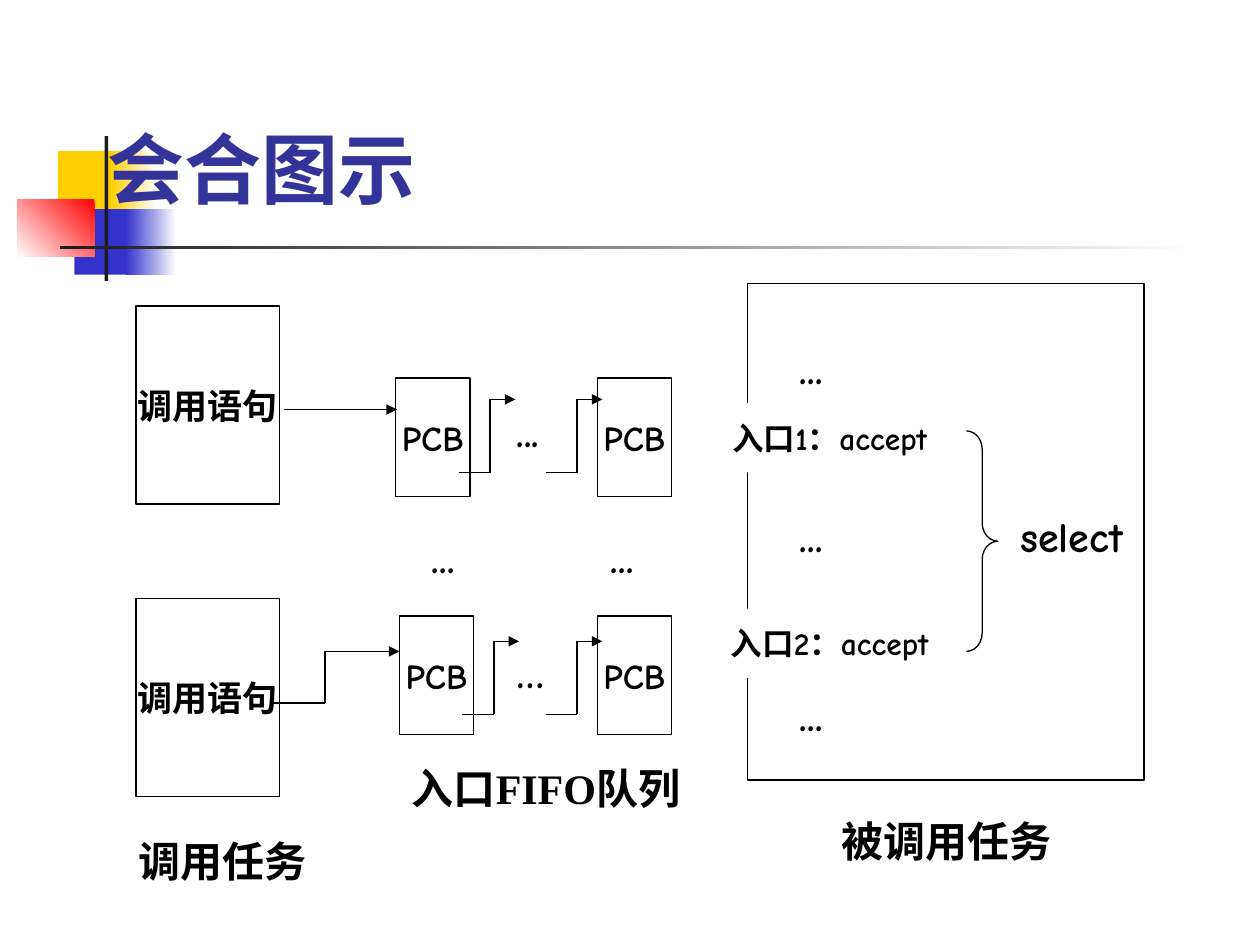
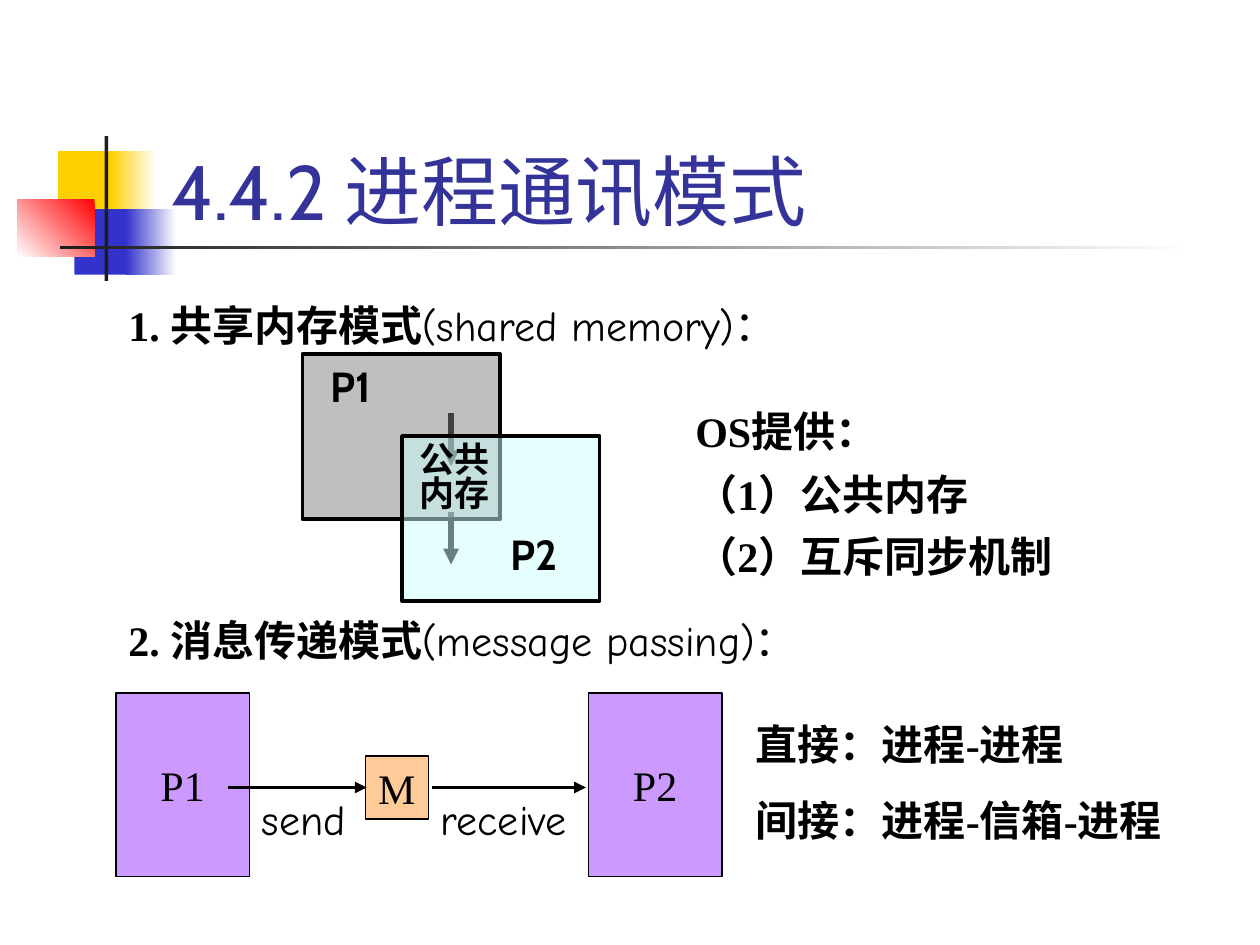
"""Build two slides on task rendezvous and process communication."""
from itertools import pairwise

from lxml.etree import SubElement
from pptx import Presentation
from pptx.dml.color import RGBColor
from pptx.enum.shapes import MSO_CONNECTOR, MSO_SHAPE
from pptx.enum.text import MSO_ANCHOR, MSO_AUTO_SIZE, PP_ALIGN
from pptx.oxml.ns import qn
from pptx.util import Inches, Pt

COLORS = {
    "title": "333399", "black": "000000", "white": "FFFFFF",
    "yellow": "FFCF01", "blue": "3333CC", "red": "FF0000", "bar": "1C1C1C",
    "gray": "808080", "cyan": "CCFFFF", "violet": "CC99FF", "orange": "FFCC99",
}
SERIF, SANS, HAND = "Times New Roman", "Cabin", "Comic Neue"

SOLID_BANDS = [
    ((0.46, 1.2, 0.48, 0.52), "yellow"),
    ((0.59, 1.66, 0.46, 0.52), "blue"),
    ((0.83, 1.08, 0.03, 1.15), "bar"),
]
GRADIENT_BANDS = [
    ((0.88, 1.2, 0.36, 0.52), ("white", "yellow"), 180),
    ((1, 1.66, 0.4, 0.52), ("white", "blue"), 180),
    ((0.14, 1.58, 0.61, 0.46), ("red", "white"), 225),
    ((0.48, 1.95, 9, 0.03), ("white", "bar"), 180),
]

CALLERS = [(1.08, 2.43), (1.08, 4.75)]
QUEUE_BLOCKS = [(3.14, 3), (4.74, 3), (3.17, 4.89), (4.74, 4.89)]
QUEUE_LINKS = [(3.64, 3.75), (4.33, 3.75), (3.67, 5.67), (4.33, 5.67)]
ENTRIES = [("入口1：accept", 3.2), ("入口2：accept", 4.83)]
ELLIPSES = [
    ("...", 6.25, 2.67), ("...", 6.25, 4), ("...", 6.25, 5.42),
    ("...", 3.33, 4.17), ("...", 4.75, 4.17),
    ("...", 4, 3.17), ("…", 4, 5.08),
]
CAPTIONS = [
    ("被调用任务", (6.58, 6.42, 2.08, 0.5)),
    ("调用任务", (1, 6.58, 1.67, 0.5)),
    ("入口FIFO队列", (3.17, 6, 2.33, 0.9)),
]

MODES = [
    ("1. 共享内存模式", "(shared memory)：", 2.33),
    ("2. 消息传递模式", "(message passing)：", 4.83),
]
SERVICES = ["OS提供：", "（1）公共内存", "（2）互斥同步机制"]
ROUTES = ["直接：进程-进程", "间接：进程-信箱-进程"]
MEMORY_SPACES = [((2.4, 2.81), "gray"), ((3.19, 3.46), "cyan")]
MEMORY_LABELS = [
    ("P1", (2.62, 2.94, 0.5, 0.32), 24),
    ("P2", (4.05, 4.27, 0.5, 0.32), 24),
    ("公共内存", (3.33, 3.54, 0.57, 0.53), 20),
]
MESSAGE_BOXES = [
    ("P1", (0.92, 5.5, 1.06, 1.46), "violet"),
    ("P2", (4.67, 5.5, 1.06, 1.46), "violet"),
    ("M", (2.9, 6, 0.5, 0.5), "orange"),
]
MESSAGE_ARROWS = [(1.81, 2.91), (3.43, 4.65)]
MESSAGE_LABELS = [("send", 1.98, 0.92), ("receive", 3.4, 1.42)]


def color(name):
    return RGBColor.from_string(COLORS[name])


def write_text(frame, lines, font=SERIF, size=24, bold=False, ink="black",
               align=PP_ALIGN.LEFT, anchor=MSO_ANCHOR.TOP, wrap=True,
               margin=None, first_spacing=None, spacing=None, before=0):
    """Fill a frame; each line is a string or a list of (text, font, bold)."""
    frame.word_wrap = wrap
    frame.auto_size = MSO_AUTO_SIZE.NONE
    frame.vertical_anchor = anchor
    if margin is not None:
        frame.margin_left = frame.margin_right = Inches(margin)
        frame.margin_top = frame.margin_bottom = Inches(margin)
    for index, line in enumerate(lines):
        paragraph = frame.add_paragraph() if index else frame.paragraphs[0]
        paragraph.alignment = align
        paragraph.space_before = Pt(before if index else 0)
        paragraph.line_spacing = spacing if index else first_spacing
        runs = [(line, font, bold)] if isinstance(line, str) else line
        for text, run_font, run_bold in runs:
            run = paragraph.add_run()
            run.text = text
            run.font.name = run_font
            run.font.size = Pt(size)
            run.font.bold = run_bold
            run.font.color.rgb = color(ink)


def add_label(slide, box, lines, **text_format):
    label = slide.shapes.add_textbox(*map(Inches, box))
    write_text(label.text_frame, lines, **text_format)


def add_box(slide, box, fill=None, line=None, alpha=None, text=None,
            kind=MSO_SHAPE.RECTANGLE, **text_format):
    shape = slide.shapes.add_shape(kind, *map(Inches, box))
    shape.shadow.inherit = False
    if fill:
        shape.fill.solid()
        shape.fill.fore_color.rgb = color(fill)
    else:
        shape.fill.background()
    if alpha:
        fill_color = shape._element.spPr.find(".//" + qn("a:srgbClr"))
        SubElement(fill_color, qn("a:alpha"), val=str(alpha * 1000))
    if line:
        shape.line.color.rgb = color("black")
        shape.line.width = Pt(line)
    else:
        shape.line.fill.background()
    if text:
        write_text(shape.text_frame, [text], align=PP_ALIGN.CENTER,
                   anchor=MSO_ANCHOR.MIDDLE, wrap=False, **text_format)
    return shape


def add_arrow(slide, points, width=0.75):
    """Join the points with straight lines and put a head on the last one."""
    for start, end in pairwise(points):
        connector = slide.shapes.add_connector(
            MSO_CONNECTOR.STRAIGHT, *map(Inches, (*start, *end)))
        connector.line.color.rgb = color("black")
        connector.line.width = Pt(width)
        SubElement(connector._element.spPr, qn("a:effectLst"))
    SubElement(connector.line._get_or_add_ln(), qn("a:tailEnd"), type="triangle")


def decorate_layout(layout, slide):
    """Draw the bands and move them to the layout that the slides share."""
    bands = {box: add_box(slide, box, fill=fill) for box, fill in SOLID_BANDS}
    for box, stops, angle in GRADIENT_BANDS:
        bands[box] = add_box(slide, box)
        bands[box].fill.gradient()
        bands[box].fill.gradient_angle = angle
        for stop, name in zip(bands[box].fill.gradient_stops, stops):
            stop.color.rgb = color(name)
    order = [SOLID_BANDS[0], GRADIENT_BANDS[0], SOLID_BANDS[1],
             *GRADIENT_BANDS[1:3], SOLID_BANDS[2], GRADIENT_BANDS[3]]
    for box, *_ in order:
        layout.shapes._spTree.append(bands[box]._element)


def set_title(slide, text, box, bold=False):
    title = slide.shapes.title
    title.left, title.top, title.width, title.height = map(Inches, box)
    write_text(title.text_frame, [text], font=SANS, size=44, bold=bold,
               ink="title", anchor=MSO_ANCHOR.BOTTOM)


def build_rendezvous(slide):
    set_title(slide, "会合图示", (0.75, 0.5, 8.5, 1.25), bold=True)
    add_box(slide, (5.93, 2.25, 3.15, 3.94), line=0.75)
    for text, top in ENTRIES:
        add_box(slide, (5.76, top, 1.65, 0.55), fill="white", text=text,
                font=HAND, size=18, bold=True)
    brace = add_box(slide, (7.67, 3.42, 0.25, 1.75), line=0.75,
                    kind=MSO_SHAPE.RIGHT_BRACE)
    brace.adjustments[0] = 0.58
    add_label(slide, (8, 4, 1.17, 0.5), ["select"], font=HAND, bold=True)
    for left, top in QUEUE_BLOCKS:
        add_box(slide, (left, top, 0.59, 0.94), line=0.75, text="PCB",
                font=HAND, size=20, bold=True)
    for left, bottom in QUEUE_LINKS:
        middle, top = left + 0.25, bottom - 0.58
        add_arrow(slide, [(left, bottom), (middle, bottom),
                          (middle, top), (left + 0.45, top)])
    for text, left, top in ELLIPSES:
        add_label(slide, (left, top, 0.58, 0.5), [text], font=HAND, bold=True)
    for left, top in CALLERS:
        add_box(slide, (left, top, 1.14, 1.57), line=0.75, text="调用语句",
                font=HAND, size=20, bold=True)
    for text, box in CAPTIONS:
        add_label(slide, box, [text], bold=True)
    add_arrow(slide, [(2.25, 3.25), (3.15, 3.25)])
    add_arrow(slide, [(2.17, 5.58), (2.58, 5.58), (2.58, 5.17), (3.17, 5.17)])


def build_communication(slide):
    set_title(slide, "4.4.2 进程通讯模式", (1.26, 0.67, 8.52, 1.25))
    for name, term, top in MODES:
        add_label(slide, (0.92, top, 8.25, 0.5),
                  [[(name, SERIF, True), (term, HAND, False)]])
    for top in (3.28, 4.06):
        add_arrow(slide, [(3.58, top), (3.58, top + 0.42)], width=3)
    add_label(slide, (5.42, 3.17, 3.5, 1.48), SERVICES, bold=True,
              spacing=0.7, before=15)
    for text, box, fill in MESSAGE_BOXES:
        add_box(slide, box, fill=fill, line=0.75, text=text)
    for start, end in MESSAGE_ARROWS:
        add_arrow(slide, [(start, 6.25), (end, 6.25)], width=2.25)
    for text, left, width in MESSAGE_LABELS:
        add_label(slide, (left, 6.25, width, 0.5), [text], font=HAND)
    add_label(slide, (5.9, 5.65, 3.58, 1.51), ROUTES, bold=True, before=15)
    for corner, fill in MEMORY_SPACES:
        add_box(slide, (*corner, 1.57, 1.31), fill=fill, line=2, alpha=50)
    for text, box, size in MEMORY_LABELS:
        add_label(slide, box, [text], font=SANS, size=size, bold=True,
                  margin=0, first_spacing=0.8)


def main():
    presentation = Presentation()
    presentation.slide_width = Inches(10)
    presentation.slide_height = Inches(7.5)
    layout = presentation.slide_layouts[5]
    slides = [presentation.slides.add_slide(layout) for _ in range(2)]
    decorate_layout(layout, slides[0])
    build_rendezvous(slides[0])
    build_communication(slides[1])
    presentation.save("out.pptx")


if __name__ == "__main__":
    main()
